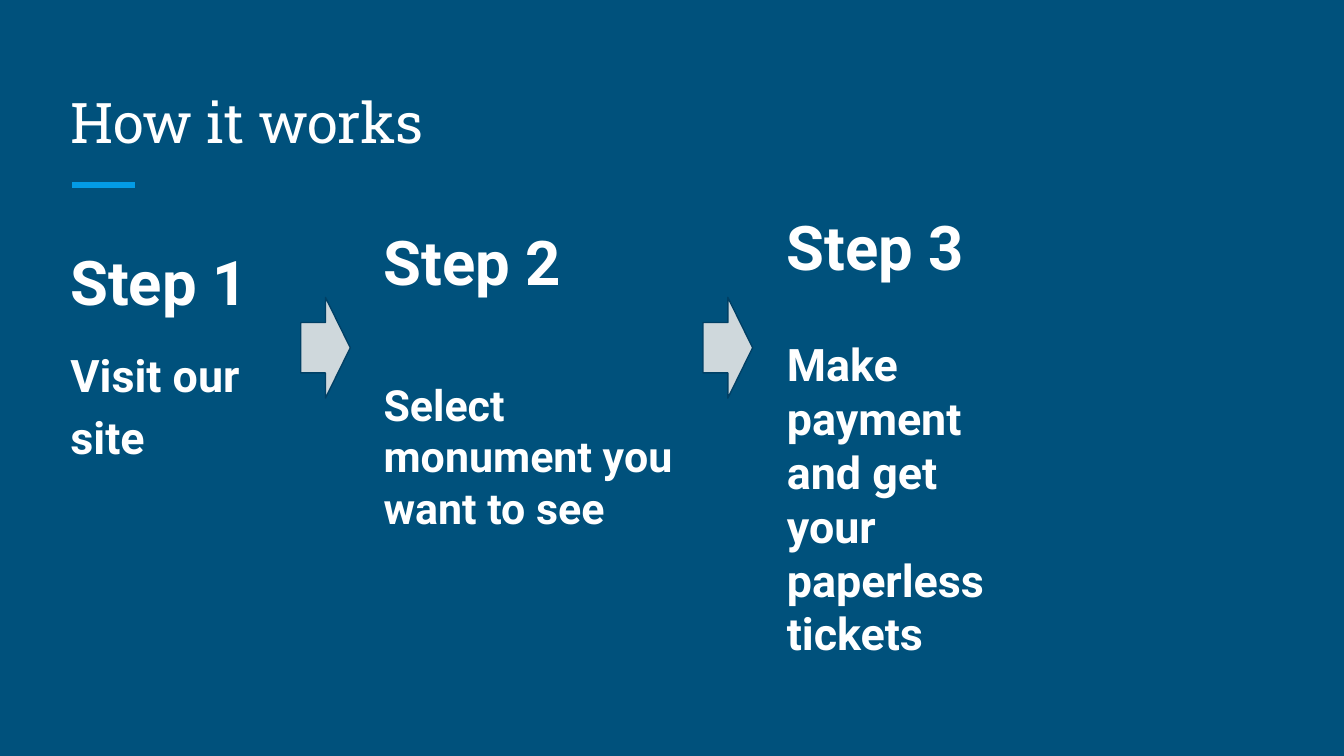
from pptx import Presentation
from pptx.dml.color import RGBColor
from pptx.enum.shapes import MSO_CONNECTOR, MSO_SHAPE
from pptx.enum.text import MSO_ANCHOR
from pptx.oxml.ns import qn
from pptx.util import Pt
from lxml import etree

PX = 5715  # 160 px to the inch
STRAIGHT = MSO_CONNECTOR.STRAIGHT
RIGHT_ARROW = MSO_SHAPE.RIGHT_ARROW
TOP, BOTTOM = MSO_ANCHOR.TOP, MSO_ANCHOR.BOTTOM


def rgb(value):
    return RGBColor.from_string(value)


def add_text(box, paragraphs, anchor=TOP):
    """Add a text box; each paragraph is (text, font values, paragraph values)."""
    tf = s.shapes.add_textbox(*[v * PX for v in box]).text_frame
    tf.word_wrap = True
    tf.vertical_anchor = anchor
    for side in ("left", "top", "right", "bottom"):
        setattr(tf, f"margin_{side}", 16 * PX)
    for i, (text, font, spacing) in enumerate(paragraphs):
        p = tf.add_paragraph() if i else tf.paragraphs[0]
        for name, value in spacing.items():
            setattr(p, name, value)
        r = p.add_run()
        r.text = text
        r.font.color.rgb = rgb("FFFFFF")
        for name, value in font.items():
            setattr(r.font, name, value)


prs = Presentation()
prs.slide_width, prs.slide_height = 1600 * PX, 900 * PX
s = prs.slides.add_slide(prs.slide_layouts[6])
s.background.fill.solid()
s.background.fill.fore_color.rgb = rgb("00517C")

# Title and its accent rule
rule = s.shapes.add_connector(STRAIGHT, 86 * PX, 220 * PX, 161 * PX, 220 * PX)
rule.line.color.rgb = rgb("039BE5")
rule.line.width = Pt(3)
etree.SubElement(rule._element.spPr, qn("a:effectLst"))
title_font = {"name": "Roboto Slab", "size": Pt(30)}
add_text((68, 80, 1464, 120), [("How it works", title_font, {})], BOTTOM)

# Steps: box, heading, description, description size, space before, line spacing
steps = [
    ((68, 261, 328, 539), "Step 1", "Visit our site", 24, 12, 1.15),
    ((441, 251, 435, 403), "Step 2", "Select monument you want to see", 23, 43, 1.0),
    ((921, 233, 328, 574), "Step 3", "Make payment and get your paperless tickets", 24, 29, 1.0),
]
bold = {"name": "Roboto", "bold": True}
for box, heading, description, size, gap, spacing in steps:
    add_text(box, [
        (heading, {**bold, "size": Pt(33)}, {"line_spacing": spacing}),
        (description, {**bold, "size": Pt(size)},
         {"line_spacing": spacing, "space_before": Pt(gap)}),
    ])

# Arrows between the steps
for left in (358, 837):
    sp = s.shapes.add_shape(RIGHT_ARROW, left * PX, 354 * PX, 59 * PX, 120 * PX)
    sp.shadow.inherit = False
    sp.fill.solid()
    sp.fill.fore_color.rgb = rgb("CFD8DC")
    sp.line.color.rgb = rgb("004065")
    sp.line.width = Pt(0.75)

prs.save("out.pptx")
